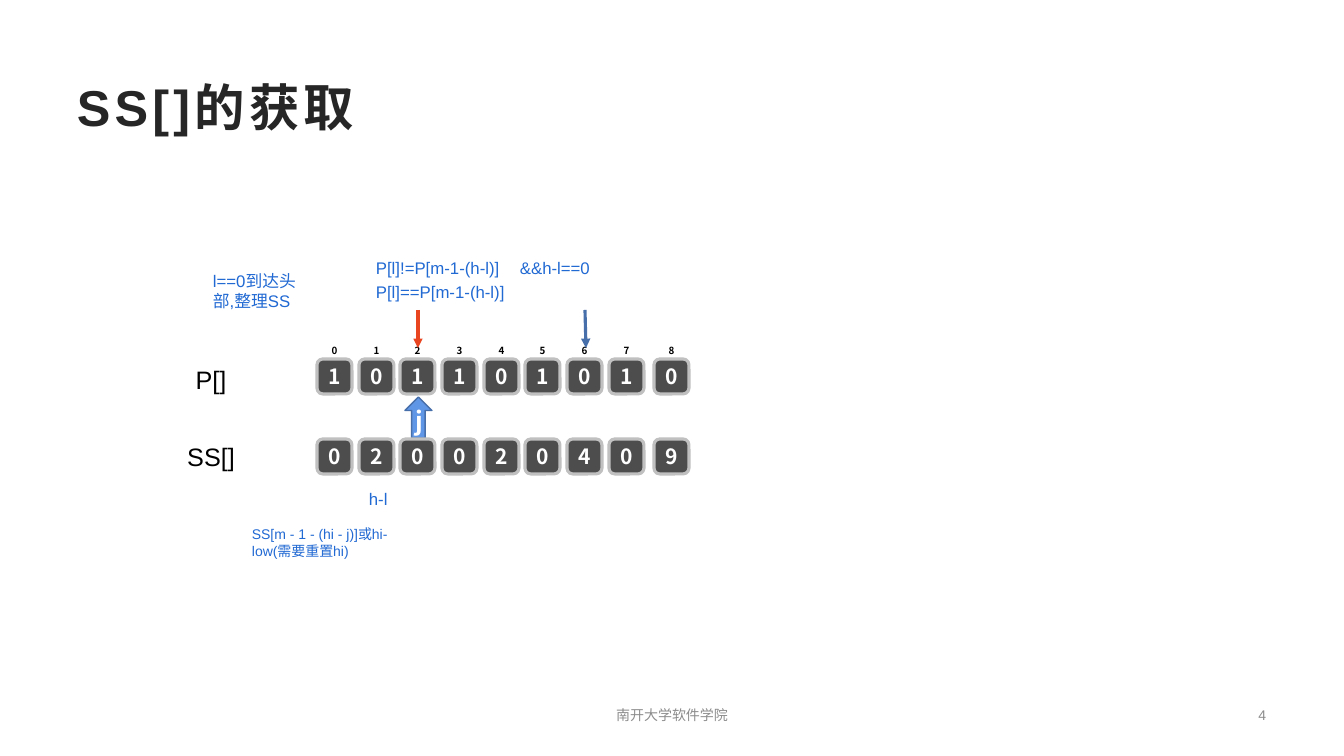
from lxml import etree
from pptx import Presentation
from pptx import util as u
from pptx.dml.color import RGBColor
from pptx.enum import shapes, text
from pptx.oxml.ns import qn

PX = 914400 / 100.8
BLACK = RGBColor(0x00, 0x00, 0x00)
WHITE = RGBColor(0xFF, 0xFF, 0xFF)
INK = RGBColor(0x26, 0x26, 0x26)
GRAY = RGBColor(0x8C, 0x8C, 0x8C)
CELL = RGBColor(0x4D, 0x4D, 0x4D)
BORDER = RGBColor(0xC0, 0xC0, 0xC0)
NOTE = RGBColor(0x21, 0x69, 0xD3)
ARROW = RGBColor(0x60, 0x96, 0xE6)
NAVY = RGBColor(0x47, 0x6F, 0xAA)
RED = RGBColor(0xE9, 0x45, 0x20)

LEFT, CENTER, RIGHT = text.PP_ALIGN.LEFT, text.PP_ALIGN.CENTER, text.PP_ALIGN.RIGHT
TOP, MIDDLE = text.MSO_ANCHOR.TOP, text.MSO_ANCHOR.MIDDLE


def px(*lengths):
    return [u.Emu(round(length * PX)) for length in lengths]


class SlideBuilder:
    latin = "Arial"
    cjk = "Noto Sans CJK SC"
    cell_size = 35
    cell_lefts = [317 + round(41.7 * column) for column in range(8)] + [654]

    def __init__(self, presentation):
        self.slide = presentation.slides.add_slide(presentation.slide_layouts[6])

    def set_text(self, shape, words, size, color, align=LEFT, anchor=TOP, wrap=True, bold=False, font=None, spacing=0):
        frame = shape.text_frame
        for name, value in {"word_wrap": wrap, "vertical_anchor": anchor}.items():
            setattr(frame, name, value)
        paragraph = frame.paragraphs[0]
        paragraph.alignment = align
        run = paragraph.add_run()
        run.text = words
        for name, value in {"size": u.Pt(size), "bold": bold, "name": font or self.latin}.items():
            setattr(run.font, name, value)
        run.font.color.rgb = color
        properties = run._r.get_or_add_rPr()
        etree.SubElement(properties, qn("a:ea")).set("typeface", self.cjk)
        if spacing:
            properties.set("spc", str(spacing * 100))

    def label(self, words, box, size, color, **style):
        self.set_text(self.slide.shapes.add_textbox(*px(*box)), words, size, color, **style)

    def block(self, kind, box, fill, line=None, width=0):
        shape = self.slide.shapes.add_shape(kind, *px(*box))
        shape.shadow.inherit = False
        shape.fill.solid()
        shape.fill.fore_color.rgb = fill
        if line is None:
            shape.line.fill.background()
        else:
            shape.line.color.rgb = line
            shape.line.width = u.Pt(width)
        return shape

    def row(self, values, top, size, color, fill, line=None):
        for left, value in zip(self.cell_lefts, values):
            box = left, top, self.cell_size, self.cell_size
            shape = self.block(shapes.MSO_SHAPE.ROUNDED_RECTANGLE, box, fill, line, 2.25)
            for side in ("left", "top", "right", "bottom"):
                setattr(shape.text_frame, f"margin_{side}", 0)
            self.set_text(shape, value, size, color, CENTER, MIDDLE, wrap=False, bold=True, font=self.cjk)

    def up_arrow(self, words, box):
        shape = self.block(shapes.MSO_SHAPE.UP_ARROW, box, ARROW, NAVY, 1)
        self.set_text(shape, words, 18, WHITE, CENTER, MIDDLE, bold=True, font=self.cjk)

    def pointer(self, start, end, color):
        connector = self.slide.shapes.add_connector(shapes.MSO_CONNECTOR.STRAIGHT, *px(*start, *end))
        connector.line.color.rgb = color
        connector.line.width = u.Pt(2.25)
        properties = connector._element.spPr
        etree.SubElement(properties.find(qn("a:ln")), qn("a:tailEnd")).set("type", "triangle")
        etree.SubElement(properties, qn("a:effectLst"))


def main():
    presentation = Presentation()
    presentation.slide_width, presentation.slide_height = px(1344, 756)
    builder = SlideBuilder(presentation)

    builder.row("012345678", 333, 7, BLACK, WHITE)
    builder.label("SS[]的获取", (67, 67, 1210, 78), 36, INK, anchor=MIDDLE, bold=True, spacing=3)
    builder.row("101101010", 359, 15, WHITE, CELL, BORDER)
    for words, top in (("P[]", 359), ("SS[]", 436)):
        builder.label(words, (139, top, 144, 40), 18, BLACK, align=CENTER)
    builder.up_arrow("j", (405, 397, 27, 41))
    builder.row("020020409", 439, 15, WHITE, CELL, BORDER)

    builder.pointer((585, 310), (586, 348), NAVY)
    builder.pointer((418, 310), (418, 348), RED)

    for words, box, size in (
        ("P[l]!=P[m-1-(h-l)]", (366, 253, 165, 30), 12),
        ("P[l]==P[m-1-(h-l)]", (366, 277, 165, 30), 12),
        ("&&h-l==0", (510, 253, 109, 30), 12),
        ("l==0到达头部,整理SS", (203, 266, 109, 50), 12),
        ("h-l", (359, 484, 50, 30), 12),
        ("SS[m - 1 - (hi - j)]或hi-low(需要重置hi)", (242, 521, 176, 44), 10),
    ):
        builder.label(words, box, size, NOTE)

    builder.label("4", (979, 697, 297, 35), 10, GRAY, align=RIGHT, anchor=MIDDLE)
    builder.label("南开大学软件学院", (454, 697, 436, 35), 10, GRAY, align=CENTER, anchor=MIDDLE)
    presentation.save("out.pptx")


if __name__ == "__main__":
    main()
